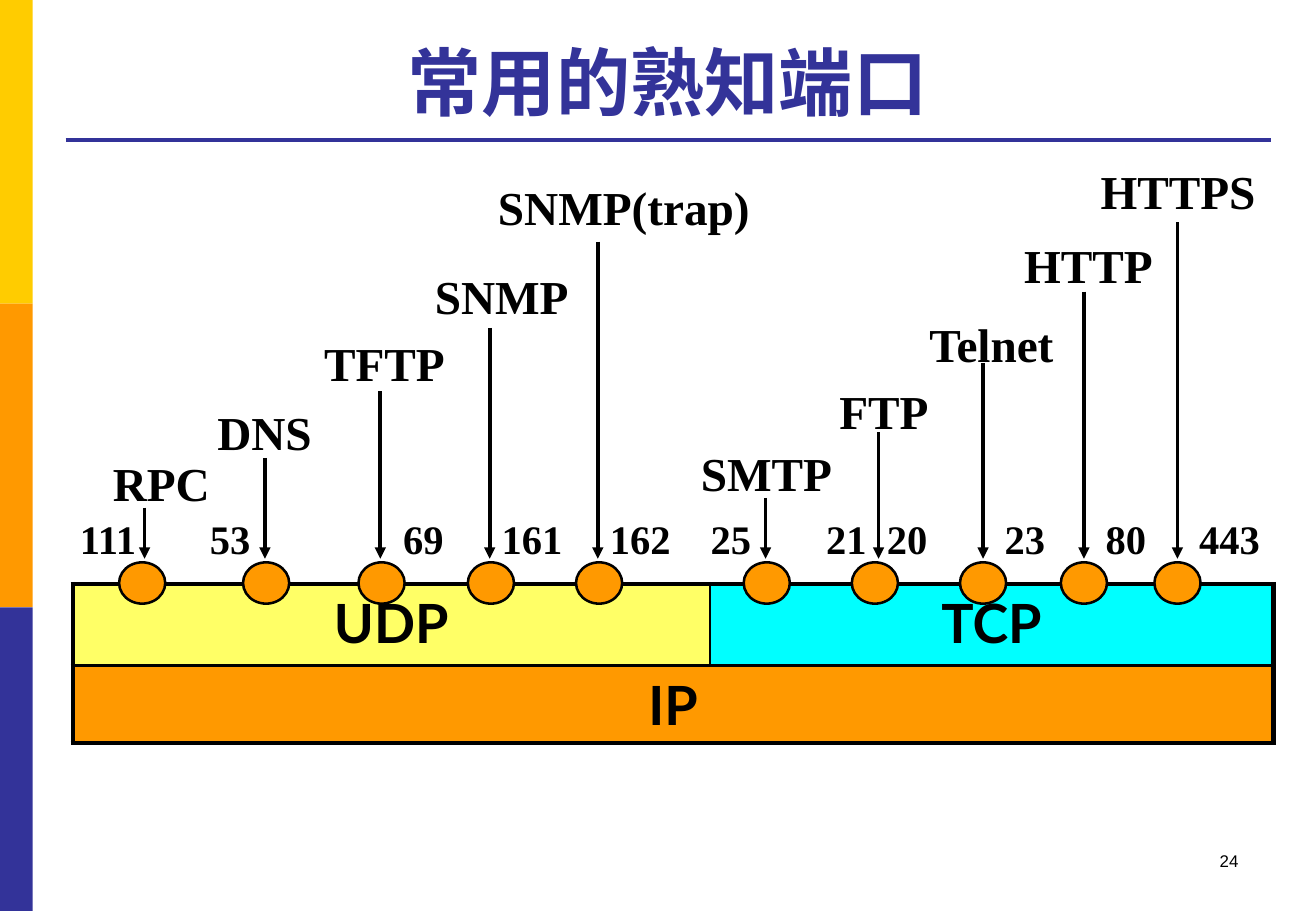
import pptx
import pptx.util
import pptx.dml.color
import pptx.enum.shapes
import pptx.enum.text
import pptx.oxml
import pptx.oxml.ns

Inches = pptx.util.Inches
Pt = pptx.util.Pt
Align = pptx.enum.text.PP_ALIGN
Shape = pptx.enum.shapes.MSO_SHAPE

COLORS = {"gold": "FFCC00", "orange": "FF9900", "navy": "333399",
          "yellow": "FFFF66", "cyan": "00FFFF", "black": "000000"}
TITLE = "常用的熟知端口"
PAGE = "24"
BANDS = ["gold", "orange", "navy"]
# name, left, top, width, arrow x, arrow top, dot left
PORTS = [
    ("RPC", 0.83, 3.69, 1.2, 1.19, 4.18, 0.98),
    ("DNS", 1.69, 3.27, 1.44, 2.18, 3.77, 2),
    ("TFTP", 2.57, 2.7, 1.8, 3.13, 3.22, 2.95),
    ("SNMP", 3.48, 2.15, 1.68, 4.03, 2.7, 3.85),
    ("SNMP(trap)", 4, 1.42, 2.37, 4.92, 1.99, 4.74),
    ("SMTP", 5.67, 3.61, 1.56, 6.3, 4.1, 6.12),
    ("FTP", 6.81, 3.1, 1.44, 7.23, 3.56, 7.01),
    ("Telnet", 7.55, 2.55, 1.68, 8.09, 2.99, 7.9),
    ("HTTP", 8.33, 1.9, 1.68, 8.92, 2.4, 8.73),
    ("HTTPS", 8.96, 1.29, 1.68, 9.69, 1.83, 9.5),
]
NUMBERS = [("111", 0.56), ("53", 1.63), ("69", 3.22), ("161", 4.03),
           ("162", 4.92), ("25", 5.75), ("21", 6.7), ("20", 7.2),
           ("23", 8.17), ("80", 9), ("443", 9.77)]
COLS = [5.24, 4.64]
ROWS = [0.67, 0.63]
CELLS = [[("UDP", "yellow"), ("TCP", "cyan")],
         [("IP", "orange"), ("", "orange")]]


def color(name):
    return pptx.dml.color.RGBColor.from_string(COLORS[name])


def style(frame, size, font, bold=True, tint="black", align=Align.LEFT):
    for para in frame.paragraphs:
        para.alignment = align
        for run in para.runs:
            run.font.size = Pt(size)
            run.font.name = font
            run.font.bold = bold
            run.font.color.rgb = color(tint)


def label(slide, text, box, size, font="Times New Roman", **look):
    frame = slide.shapes.add_textbox(*map(Inches, box)).text_frame
    frame.word_wrap = True
    frame.text = text
    style(frame, size, font, **look)


def block(slide, kind, box, fill, edge=None):
    shape = slide.shapes.add_shape(kind, *map(Inches, box))
    shape.shadow.inherit = False
    shape.fill.solid()
    shape.fill.fore_color.rgb = color(fill)
    if edge:
        shape.line.color.rgb = color(edge)
        shape.line.width = Pt(1.5)
    else:
        shape.line.fill.background()


def line(slide, start, end, tint, arrow=False):
    link = slide.shapes.add_connector(
        pptx.enum.shapes.MSO_CONNECTOR.STRAIGHT,
        *map(Inches, start + end))
    link.line.color.rgb = color(tint)
    link.line.width = Pt(2.25)
    if arrow:
        tail = pptx.oxml.ns.qn("a:tailEnd")
        link.line._get_or_add_ln().makeelement(tail, {})
        pptx.oxml.parse_xml
        head = pptx.oxml.parse_xml(
            f'<a:tailEnd {pptx.oxml.ns.nsdecls("a")} type="triangle"/>')
        link.line._get_or_add_ln().append(head)
    link._element.spPr.append(pptx.oxml.parse_xml(
        f'<a:effectLst {pptx.oxml.ns.nsdecls("a")}/>'))


def border(cell, sides):
    props = cell._tc.get_or_add_tcPr()
    for spot, (side, width) in enumerate(sides.items()):
        props.insert(spot, pptx.oxml.parse_xml(
            f'<a:ln{side} {pptx.oxml.ns.nsdecls("a")} w="{Pt(width)}">'
            f'<a:solidFill><a:srgbClr val="{COLORS["black"]}"/></a:solidFill>'
            f'</a:ln{side}>'))


def layers(slide):
    table = slide.shapes.add_table(
        2, 2, *map(Inches, (0.6, 4.81, sum(COLS), sum(ROWS)))).table
    for col, width in zip(table.columns, COLS):
        col.width = Inches(width)
    for row, height in zip(table.rows, ROWS):
        row.height = Inches(height)
    table.cell(1, 0).merge(table.cell(1, 1))
    for r, row in enumerate(CELLS):
        for c, (text, fill) in enumerate(row):
            cell = table.cell(r, c)
            cell.fill.solid()
            cell.fill.fore_color.rgb = color(fill)
            outer = {"L": c == 0, "R": c == 1 or r == 1,
                     "T": r == 0, "B": r == 1}
            border(cell, {s: 3 if out else 1.5 for s, out in outer.items()})
            if text:
                cell.text_frame.text = text
                style(cell.text_frame, 32, "Lato", align=Align.CENTER)


def main():
    deck = pptx.Presentation()
    deck.slide_width, deck.slide_height = Inches(10.83), Inches(7.5)
    slide = deck.slides.add_slide(deck.slide_layouts[5])

    for i, fill in enumerate(BANDS):
        block(slide, Shape.RECTANGLE, (0, 2.5 * i, 0.27, 2.5), fill)
    line(slide, (0.54, 1.15), (10.46, 1.15), "navy")

    title = slide.shapes.title
    title.left, title.top = Inches(0.54), Inches(0.21)
    title.width, title.height = Inches(9.91), Inches(0.87)
    title.text_frame.text = TITLE
    title.text_frame.vertical_anchor = pptx.enum.text.MSO_ANCHOR.BOTTOM
    style(title.text_frame, 44, "Arial", tint="navy", align=Align.CENTER)

    layers(slide)
    for name, left, top, width, x, y, dot in PORTS:
        label(slide, name, (left, top, width, 0.57), 28)
        block(slide, Shape.OVAL, (dot, 4.63, 0.38, 0.34), "orange", "black")
        line(slide, (x, y), (x, 4.6), "black", arrow=True)
    for text, left in NUMBERS:
        label(slide, text, (left, 4.18, 1, 0.5), 24)
    label(slide, PAGE, (7.76, 6.95, 2.53, 0.5), 10, "Arial",
          bold=False, align=Align.RIGHT)

    deck.save("out.pptx")


if __name__ == "__main__":
    main()
